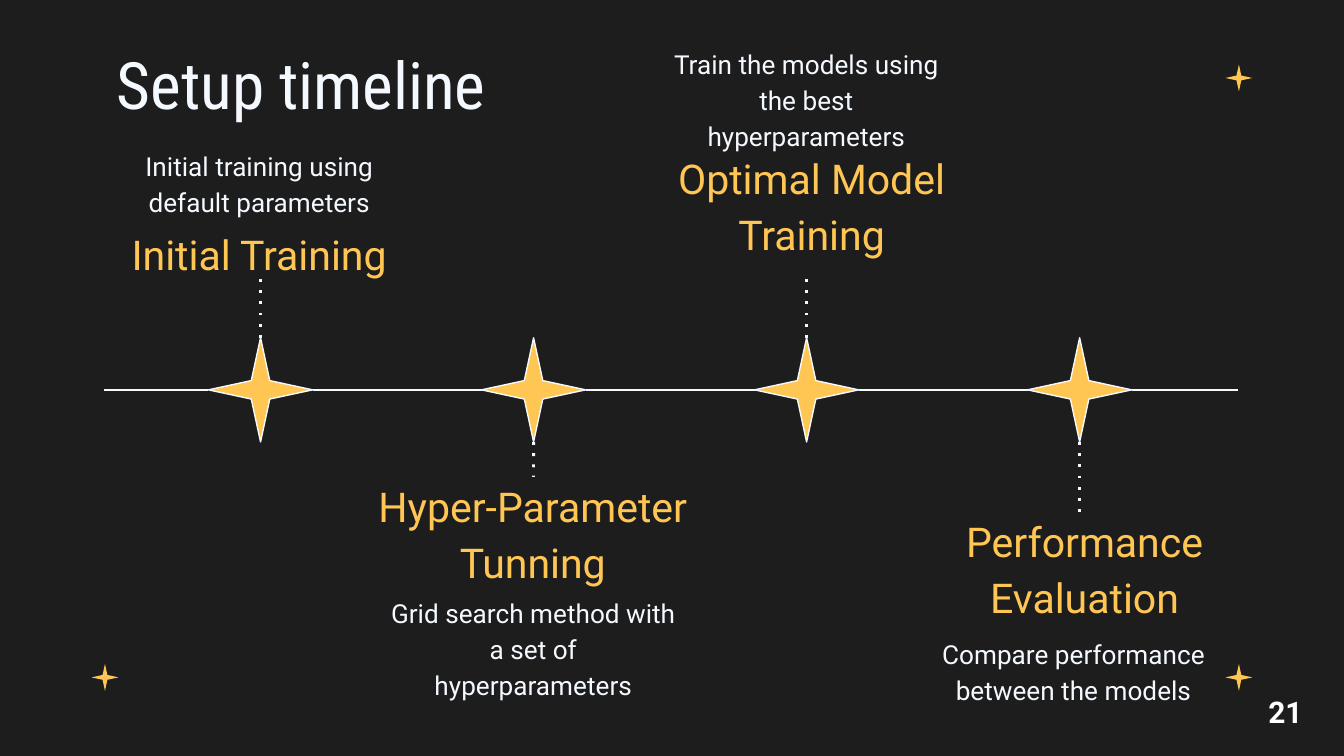
from lxml import etree
from pptx import Presentation
from pptx.dml.color import RGBColor
from pptx.enum.shapes import MSO_CONNECTOR, MSO_SHAPE
from pptx.enum.text import MSO_ANCHOR, PP_ALIGN
from pptx.oxml.ns import qn
from pptx.util import Cm, Pt

STAR, STRAIGHT = MSO_SHAPE.STAR_4_POINT, MSO_CONNECTOR.STRAIGHT
TOP, BOTTOM = MSO_ANCHOR.TOP, MSO_ANCHOR.BOTTOM
LEFT, CENTER = PP_ALIGN.LEFT, PP_ALIGN.CENTER
SITE_TOP, SITE_LEFT, SITE_BOTTOM, SITE_RIGHT = range(4)

DARK, GOLD, PALE, WHITE = "1D1D1D", "FFC654", "F4F9FF", "FFFFFF"


def rgb(value):
    return RGBColor.from_string(value)


class Deck:
    heading = {"name": "Roboto", "size": Pt(22)}
    body = {"name": "Roboto", "size": Pt(14)}
    title_font = {"name": "Roboto Condensed", "size": Pt(35)}
    number_font = {"name": "Roboto", "size": Pt(16), "bold": True}

    def __init__(self, prs):
        self.s = prs.slides.add_slide(prs.slide_layouts[5])
        fill = self.s.background.fill
        fill.solid()
        fill.fore_color.rgb = rgb(DARK)

    def fill_text(self, sp, text, font, color, align=CENTER, anchor=TOP,
                  spacing=1.15, inset=0.25):
        tf = sp.text_frame
        frame = {"word_wrap": True, "vertical_anchor": anchor,
                 "margin_left": Cm(0.25), "margin_right": Cm(0.25),
                 "margin_top": Cm(inset), "margin_bottom": Cm(inset)}
        for key, value in frame.items():
            setattr(tf, key, value)
        p = tf.paragraphs[0]
        p.alignment, p.line_spacing = align, spacing
        r = p.add_run()
        r.text = text
        for key, value in font.items():
            setattr(r.font, key, value)
        r.font.color.rgb = rgb(color)

    def title(self, text, x, y, w, h):
        sp = self.s.shapes.title
        sp.left, sp.top, sp.width, sp.height = Cm(x), Cm(y), Cm(w), Cm(h)
        self.fill_text(sp, text, self.title_font, PALE, LEFT, spacing=1.0)

    def text(self, text, x, y, w, h, font, color, **options):
        sp = self.s.shapes.add_textbox(Cm(x), Cm(y), Cm(w), Cm(h))
        self.fill_text(sp, text, font, color, **options)

    def star(self, x, y, size, outlined=False):
        sp = self.s.shapes.add_shape(STAR, Cm(x), Cm(y), Cm(size), Cm(size))
        sp.shadow.inherit = False
        sp.adjustments[0] = 0.125
        sp.fill.solid()
        sp.fill.fore_color.rgb = rgb(GOLD)
        if outlined:
            sp.line.color.rgb = rgb(PALE)
            sp.line.width = Pt(0.75)
        else:
            sp.line.fill.background()
        return sp

    def line(self, x1, y1, x2, y2, begin=None, end=None, dotted=False):
        cx = self.s.shapes.add_connector(STRAIGHT, Cm(x1), Cm(y1), Cm(x2), Cm(y2))
        if begin:
            cx.begin_connect(*begin)
        if end:
            cx.end_connect(*end)
        cx.line.color.rgb = rgb(PALE)
        cx.line.width = Pt(1.5 if dotted else 0.75)
        sp_pr = cx._element.spPr
        if dotted:
            etree.SubElement(sp_pr.find(qn("a:ln")), qn("a:prstDash"), val="dot")
        etree.SubElement(sp_pr, qn("a:effectLst"))


def main():
    prs = Presentation()
    prs.slide_width, prs.slide_height = Cm(25.4), Cm(14.29)
    deck = Deck(prs)

    # Corner sparkles
    for x, y in [(23.16, 1.22), (1.73, 12.55), (23.16, 12.55)]:
        deck.star(x, y, 0.51)

    deck.title("Setup timeline", 1.96, 0.58, 8.0, 1.6)

    # Milestones: (heading, its x, y, width), (details, their x, y), stem length, above
    milestones = [
        (("Initial Training", 1.93, 3.94, 5.94),
         ("Initial training using default parameters", 1.93, 2.51), 1.14, True),
        (("Hyper-Parameter Tunning", 6.4, 10.08, 7.34),
         ("Grid search method with a set of hyperparameters", 7.11, 10.95), 0.66, False),
        (("Optimal Model Training", 12.37, 2.51, 5.94),
         ("Train the models using the best hyperparameters", 12.27, 0.58), 1.14, True),
        (("Performance Evaluation", 17.53, 10.74, 5.94),
         ("Compare performance between the models", 17.32, 11.73), 1.32, False),
    ]
    size, pitch, first_x, axis_y = 1.97, 5.16, 3.94, 7.37
    stars = [deck.star(first_x + i * pitch, axis_y - size / 2, size, outlined=True)
             for i in range(len(milestones))]

    # Axis segments between the stars and out to both ends
    axis_left, axis_right = 1.96, 23.39
    for before, after in zip([None] + stars, stars + [None]):
        deck.line(axis_left, axis_y, axis_right, axis_y,
                  begin=(before, SITE_RIGHT) if before else None,
                  end=(after, SITE_LEFT) if after else None)

    # Stems and captions
    for i, (heading, details, stem, above) in enumerate(milestones):
        x = first_x + i * pitch + size / 2
        side = -1 if above else 1
        tip = axis_y + side * size / 2
        deck.line(x, tip, x, tip + side * stem, dotted=True,
                  begin=(stars[i], SITE_TOP if above else SITE_BOTTOM))
        text, left, top, width = heading
        deck.text(text, left, top, width, 1.27, deck.heading, GOLD,
                  anchor=TOP if above else BOTTOM)
        text, left, top = details
        deck.text(text, left, top, 5.94, 1.6, deck.body, PALE)

    # Page number
    deck.text("21", 23.72, 12.98, 1.35, 1.09, deck.number_font, WHITE,
              align=LEFT, spacing=1.0, inset=0.13)

    prs.save("out.pptx")


if __name__ == "__main__":
    main()
